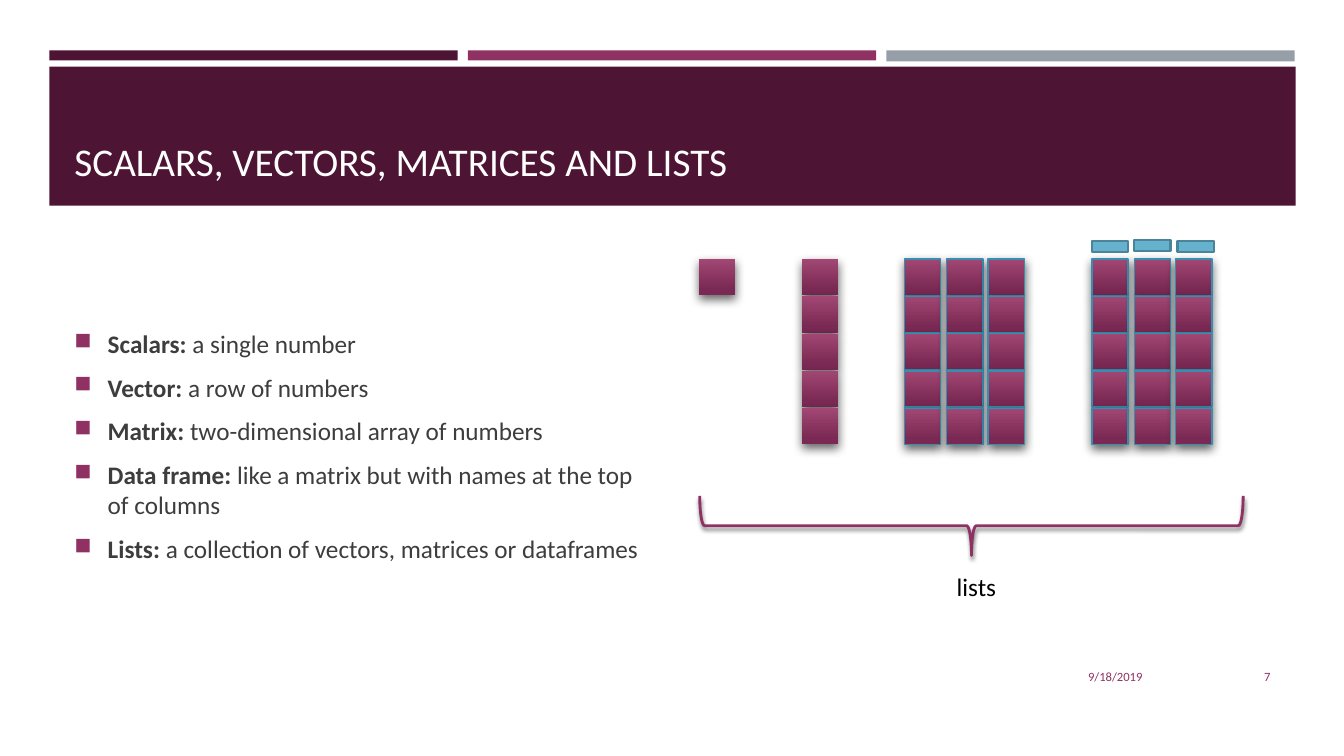
from dataclasses import dataclass

from lxml.etree import SubElement
from pptx import Presentation
from pptx.dml.color import RGBColor
from pptx.enum.shapes import MSO_SHAPE
from pptx.enum.text import MSO_ANCHOR, PP_ALIGN
from pptx.oxml.ns import qn
from pptx.shapes.autoshape import Shape
from pptx.slide import Slide
from pptx.text.text import TextFrame, _Paragraph
from pptx.util import Inches, Pt

FONT = "Calibri"
PLUM = "4D1434"
MAGENTA = "903163"
GREY = "969FA7"
CELL_TOP_COLOR = "A24774"
CELL_BOTTOM_COLOR = "792953"
CELL_BORDER = "388EAF"
HEADER_FILL = "66B1CE"
HEADER_BORDER = "4B8398"
WHITE = "FFFFFF"
BLACK = "000000"
BODY_COLOR = "3D3D3D"

CELL_SIZE = 0.36
ROW_PITCH = 0.37
GRID_TOP = 2.57
HEADER_HEIGHT = 0.11


@dataclass(frozen=True)
class Box:
    left: float
    top: float
    width: float
    height: float

    def lengths(self) -> tuple[Inches, Inches, Inches, Inches]:
        return Inches(self.left), Inches(self.top), Inches(self.width), Inches(self.height)


@dataclass(frozen=True)
class Bar:
    box: Box
    color: str


@dataclass(frozen=True)
class Grid:
    column_lefts: tuple[float, ...]
    rows: int
    bordered: bool


@dataclass(frozen=True)
class Shadow:
    opacity: int
    blur: float
    distance: float
    direction: int


@dataclass(frozen=True)
class Label:
    text: str
    box: Box
    size: float
    color: str
    anchor: MSO_ANCHOR = MSO_ANCHOR.MIDDLE
    alignment: PP_ALIGN = PP_ALIGN.LEFT
    wrap: bool = True


@dataclass(frozen=True)
class Definition:
    term: str
    meaning: str


BARS = (
    Bar(Box(0.49, 0.5, 4.05, 0.1), PLUM),
    Bar(Box(8.79, 0.5, 4.05, 0.11), GREY),
    Bar(Box(4.64, 0.5, 4.05, 0.1), MAGENTA),
    Bar(Box(0.49, 0.66, 12.36, 1.38), PLUM),
)
LABELS = (
    Label("SCALARS, VECTORS, MATRICES AND LISTS", Box(0.64, 0.8, 12.06, 1.08), 28, WHITE,
          anchor=MSO_ANCHOR.BOTTOM),
    Label("9/18/2019", Box(8.32, 6.51, 3.11, 0.4), 9, MAGENTA, alignment=PP_ALIGN.RIGHT),
    Label("7", Box(11.55, 6.51, 1.15, 0.4), 9, MAGENTA, alignment=PP_ALIGN.RIGHT),
    Label("lists", Box(9.39, 5.62, 0.59, 0.4), 18, BLACK, anchor=MSO_ANCHOR.TOP, wrap=False),
)
DEFINITIONS = (
    Definition("Scalars: ", "a single number"),
    Definition("Vector: ", "a row of numbers"),
    Definition("Matrix: ", "two-dimensional array of numbers"),
    Definition("Data frame: ", "like a matrix but with names at the top of columns"),
    Definition("Lists: ", "a collection of vectors, matrices or dataframes"),
)
GRIDS = (
    Grid((6.93,), 1, False),
    Grid((7.95,), 5, False),
    Grid((8.97, 9.39, 9.8), 5, True),
    Grid((10.83, 11.25, 11.66), 5, True),
)
COLUMN_HEADERS = tuple(
    Box(left, top, CELL_SIZE, HEADER_HEIGHT)
    for left, top in ((10.83, 2.39), (11.25, 2.38), (11.68, 2.39))
)
CELL_SHADOW = Shadow(60, 7, 3, 84)
BRACE_SHADOW = Shadow(55, 3, 2, 90)


def rgb(color: str) -> RGBColor:
    return RGBColor.from_string(color)


def style_line(shape: Shape, color: str, width: float) -> None:
    shape.line.color.rgb = rgb(color)
    shape.line.width = Pt(width)


def add_shadow(shape: Shape, shadow: Shadow) -> None:
    shape.shadow.inherit = False
    effects = shape._element.spPr.find(qn("a:effectLst"))
    outer = SubElement(effects, qn("a:outerShdw"), blurRad=str(Pt(shadow.blur)),
                       dist=str(Pt(shadow.distance)), dir=str(shadow.direction * 60000),
                       algn="ctr", rotWithShape="0")
    color = SubElement(outer, qn("a:srgbClr"), val=BLACK)
    SubElement(color, qn("a:alpha"), val=str(shadow.opacity * 1000))


def add_rectangle(slide: Slide, box: Box, color: str) -> Shape:
    shape = slide.shapes.add_shape(MSO_SHAPE.RECTANGLE, *box.lengths())
    shape.shadow.inherit = False
    shape.fill.solid()
    shape.fill.fore_color.rgb = rgb(color)
    shape.line.fill.background()
    return shape


def add_grid(slide: Slide, grid: Grid) -> None:
    group = slide.shapes.add_group_shape()
    for left in grid.column_lefts:
        for row in range(grid.rows):
            box = Box(left, GRID_TOP + row * ROW_PITCH, CELL_SIZE, CELL_SIZE)
            cell = group.shapes.add_shape(MSO_SHAPE.RECTANGLE, *box.lengths())
            cell.fill.gradient()
            cell.fill.gradient_angle = 270
            start, end = cell.fill.gradient_stops
            start.color.rgb, start.position = rgb(CELL_TOP_COLOR), 0
            end.color.rgb, end.position = rgb(CELL_BOTTOM_COLOR), 0.84
            if grid.bordered:
                style_line(cell, CELL_BORDER, 1)
            else:
                cell.line.fill.background()
            add_shadow(cell, CELL_SHADOW)


def add_brace(slide: Slide) -> None:
    brace = slide.shapes.add_shape(MSO_SHAPE.RIGHT_BRACE, *Box(9.34, 2.52, 0.59, 5.39).lengths())
    brace.rotation = 90
    brace.adjustments[0] = 0.08
    brace.adjustments[1] = 0.5
    brace.fill.background()
    style_line(brace, MAGENTA, 2)
    add_shadow(brace, BRACE_SHADOW)


def add_text_frame(slide: Slide, box: Box, anchor: MSO_ANCHOR, wrap: bool = True) -> TextFrame:
    text_frame = slide.shapes.add_textbox(*box.lengths()).text_frame
    text_frame.word_wrap = wrap
    text_frame.vertical_anchor = anchor
    return text_frame


def style_paragraph(paragraph: _Paragraph, size: float, color: str) -> None:
    for run in paragraph.runs:
        run.font.name = FONT
        run.font.size = Pt(size)
        run.font.color.rgb = rgb(color)


def add_label(slide: Slide, label: Label) -> None:
    text_frame = add_text_frame(slide, label.box, label.anchor, label.wrap)
    text_frame.text = label.text
    paragraph = text_frame.paragraphs[0]
    paragraph.alignment = label.alignment
    style_paragraph(paragraph, label.size, label.color)


def add_bullet(paragraph: _Paragraph) -> None:
    properties = paragraph._p.get_or_add_pPr()
    properties.set("marL", str(Inches(0.33)))
    properties.set("indent", str(-Inches(0.33)))
    SubElement(SubElement(properties, qn("a:buClr")), qn("a:srgbClr"), val=MAGENTA)
    SubElement(properties, qn("a:buSzPct"), val="92000")
    SubElement(properties, qn("a:buChar"), char="■")


def add_definitions(slide: Slide) -> None:
    text_frame = add_text_frame(slide, Box(0.64, 2.44, 5.93, 3.97), MSO_ANCHOR.MIDDLE)
    text_frame.text = "\n".join(definition.term for definition in DEFINITIONS)
    for paragraph, definition in zip(text_frame.paragraphs, DEFINITIONS):
        paragraph.runs[0].font.bold = True
        paragraph.add_run().text = definition.meaning
        paragraph.space_before = Pt(3.6)
        paragraph.space_after = Pt(6)
        add_bullet(paragraph)
        style_paragraph(paragraph, 18, BODY_COLOR)


def main() -> None:
    presentation = Presentation()
    presentation.slide_width, presentation.slide_height = Inches(13.33), Inches(7.5)
    slide = presentation.slides.add_slide(presentation.slide_layouts[6])
    for bar in BARS:
        add_rectangle(slide, bar.box, bar.color)
    add_definitions(slide)
    for grid in GRIDS:
        add_grid(slide, grid)
    for header in COLUMN_HEADERS:
        style_line(add_rectangle(slide, header, HEADER_FILL), HEADER_BORDER, 1.75)
    add_brace(slide)
    for label in LABELS:
        add_label(slide, label)
    presentation.save("out.pptx")


if __name__ == "__main__":
    main()
